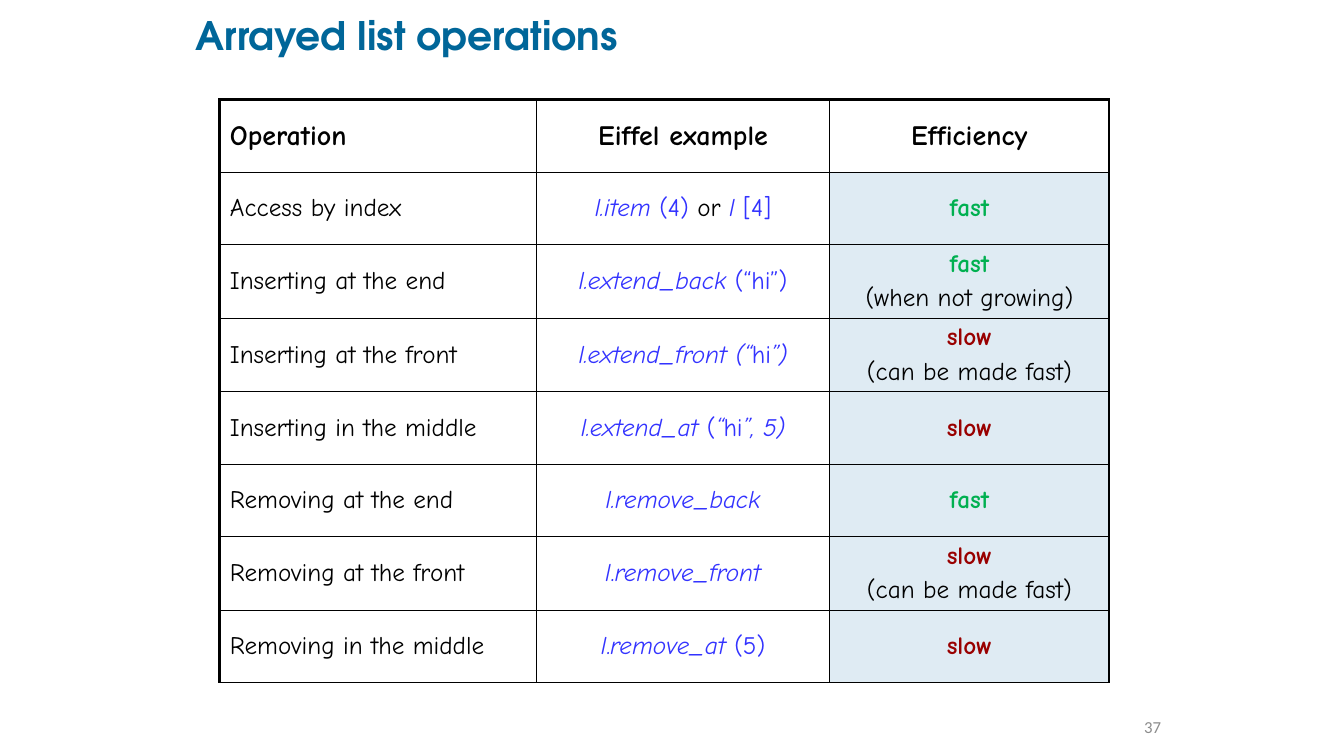
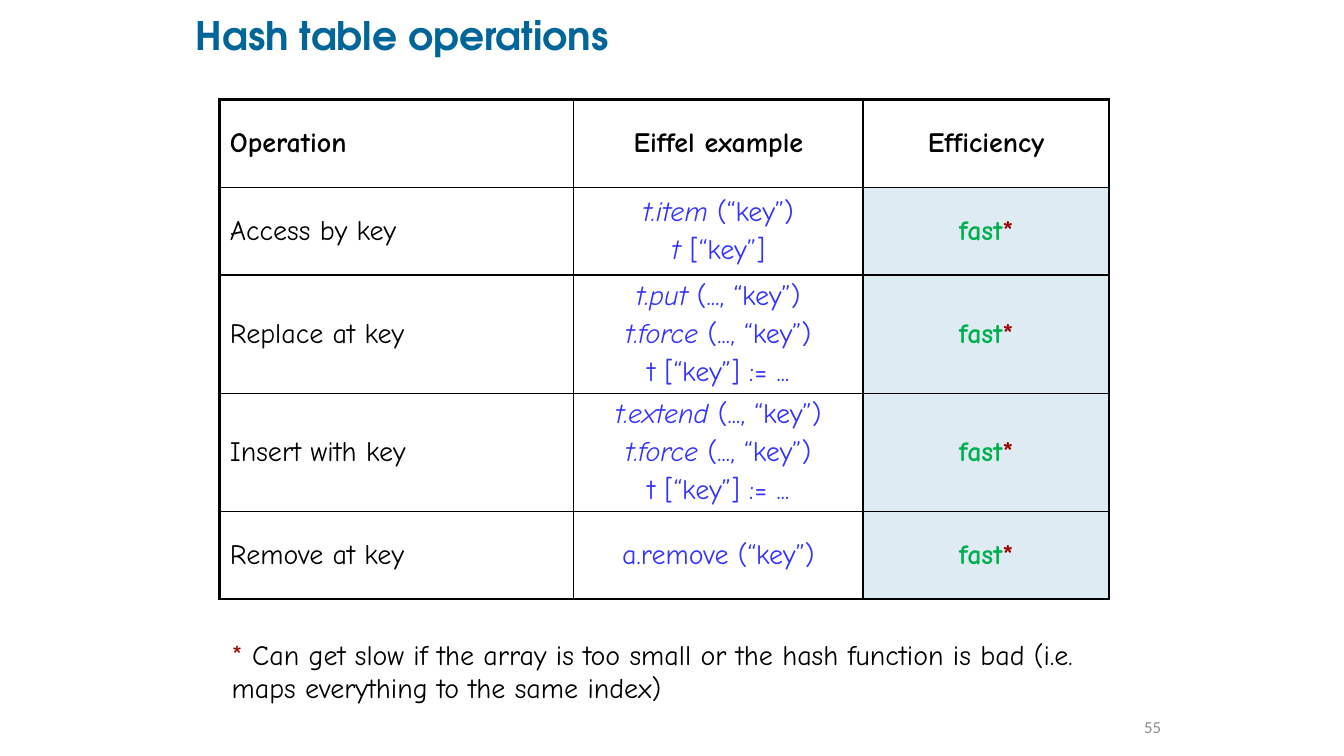
from lxml import etree
from pptx import Presentation
from pptx.dml.color import RGBColor
from pptx.enum.text import MSO_ANCHOR as Anchor, MSO_AUTO_SIZE as AutoSize, PP_ALIGN as Align
from pptx.oxml.ns import qn
from pptx.util import Cm, Pt

BODY_FONT = "Comic Neue"
INK, SHADE = "000000", "DFEBF3"
HEAD = {"color": INK, "bold": True}
PLAIN = {"color": INK}
CODE = {"color": "3333FF"}
FEATURE = {"color": "3333FF", "italic": True}
FAST = {"color": "00B050", "bold": True}
SLOW = {"color": "990000", "bold": True}
STAR = {"color": "990000"}
TITLE = {"color": "006699", "bold": True}
NUMBER = {"color": "8C8C8C"}


def write(frame, lines, size, font=BODY_FONT, align=Align.LEFT):
    """Fill a text frame; each line is a list of (text, format) runs."""
    for i, line in enumerate(lines):
        paragraph = frame.paragraphs[0] if i == 0 else frame.add_paragraph()
        paragraph.alignment = align
        if i:
            paragraph.space_before = Pt(size * 0.2)
        for text, style in line:
            run = paragraph.add_run()
            run.text = text
            run.font.name = font
            run.font.size = Pt(size)
            for name, value in style.items():
                if name == "color":
                    run.font.color.rgb = RGBColor.from_string(value)
                else:
                    setattr(run.font, name, value)


def add_border(cell, side, width):
    line = etree.SubElement(cell._tc.get_or_add_tcPr(), qn(f"a:ln{side}"), w=str(Pt(width)))
    fill = etree.SubElement(line, qn("a:solidFill"))
    etree.SubElement(fill, qn("a:srgbClr"), val=INK)


fast, slow = [("fast", FAST)], [("slow", SLOW)]
fixable = [("(can be made fast)", PLAIN)]
fast_star = [[("fast", FAST), ("*", SLOW)]]
force = [("t.force ", FEATURE), ("(..., “key”)", CODE)]
assign = [("t [“key”] := ...", CODE)]

list_rows = [
    ("Access by index",
     [[("l.item ", FEATURE), ("(4) ", CODE), ("or ", PLAIN), ("l", FEATURE), (" [4]", CODE)]],
     [fast]),
    ("Inserting at the end",
     [[("l.extend_back ", FEATURE), ("(“hi”)", CODE)]],
     [fast, [("(when not growing)", PLAIN)]]),
    ("Inserting at the front",
     [[("l.extend_front (“", FEATURE), ("hi", CODE), ("”)", FEATURE)]],
     [slow, fixable]),
    ("Inserting in the middle",
     [[("l.extend_at ", FEATURE), ("(", CODE), ("“", FEATURE), ("hi", CODE), ("”, 5)", FEATURE)]],
     [slow]),
    ("Removing at the end", [[("l.remove_back", FEATURE)]], [fast]),
    ("Removing at the front",
     [[("l", FEATURE), (".", CODE), ("remove_front", FEATURE)]],
     [slow, fixable]),
    ("Removing in the middle",
     [[("l", FEATURE), (".", CODE), ("remove_at ", FEATURE), ("(5)", CODE)]],
     [slow]),
]
hash_rows = [
    ("Access by key",
     [[("t.item ", FEATURE), ("(“key”)", CODE)], [("t ", FEATURE), ("[“key”]", CODE)]],
     fast_star),
    ("Replace at key",
     [[("t.put ", FEATURE), ("(..., “key”)", CODE)], force, assign],
     fast_star),
    ("Insert with key",
     [[("t.extend ", FEATURE), ("(..., “key”)", CODE)], force, assign],
     fast_star),
    ("Remove at key", [[("a.remove (“key”)", CODE)]], fast_star),
]
hash_note = [("*", STAR),
             (" Can get slow if the array is too small or the hash function is bad"
              " (i.e. maps everything to the same index)", PLAIN)]
# title, slide number, rows, column widths, row height, text size, footnote
pages = [
    ("Arrayed list operations", "37", list_rows, (7.98, 7.39, 7.04), 1.83, 18, None),
    ("Hash table operations", "55", hash_rows, (8.92, 7.29, 6.2), 2.21, 20, hash_note),
]

deck = Presentation()
deck.slide_width, deck.slide_height = Cm(33.87), Cm(19.05)

for heading, number, rows, widths, row_height, size, note in pages:
    slide = deck.slides.add_slide(deck.slide_layouts[5])

    title = slide.shapes.title
    title.left, title.top, title.width, title.height = Cm(4.93), Cm(0.33), Cm(22.07), Cm(1.22)
    frame = title.text_frame
    frame.margin_left = frame.margin_right = frame.margin_top = frame.margin_bottom = 0
    frame.vertical_anchor = Anchor.MIDDLE
    frame.auto_size = AutoSize.NONE
    write(frame, [[(heading, TITLE)]], 28, "TeX Gyre Adventor")
    frame.paragraphs[0].line_spacing = 0.9

    header = [[[(text, HEAD)]] for text in ("Operation", "Eiffel example", "Efficiency")]
    body = [([[(operation, PLAIN)]], example, speed) for operation, example, speed in rows]
    grid = [header, *body]
    table = slide.shapes.add_table(len(grid), len(widths), Cm(5.54), Cm(2.51),
                                   Cm(sum(widths)), Cm(row_height * len(grid))).table
    table.first_row = table.horz_banding = False
    for column, width in zip(table.columns, widths):
        column.width = Cm(width)
    last = len(widths) - 1
    for r, cells in enumerate(grid):
        table.rows[r].height = Cm(row_height)
        for c, lines in enumerate(cells):
            cell = table.cell(r, c)
            cell.vertical_anchor = Anchor.MIDDLE
            for side, outer in (("L", c == 0), ("R", c == last), ("T", r == 0), ("B", False)):
                add_border(cell, side, 2.25 if outer else 1)
            if r and c == last:
                cell.fill.solid()
                cell.fill.fore_color.rgb = RGBColor.from_string(SHADE)
            else:
                cell.fill.background()
            write(cell.text_frame, lines, size if r else 20,
                  align=Align.CENTER if c else Align.LEFT)

    if note:
        footnote = slide.shapes.add_textbox(Cm(5.59), Cm(15.93), Cm(22.63), Cm(1.96)).text_frame
        footnote.word_wrap = True
        write(footnote, [note], 20)

    page_number = slide.shapes.add_textbox(Cm(27.99), Cm(17.6), Cm(1.52), Cm(1.45)).text_frame
    page_number.word_wrap = True
    page_number.vertical_anchor = Anchor.MIDDLE
    write(page_number, [[(number, NUMBER)]], 12, "Calibri", Align.RIGHT)

deck.save("out.pptx")
